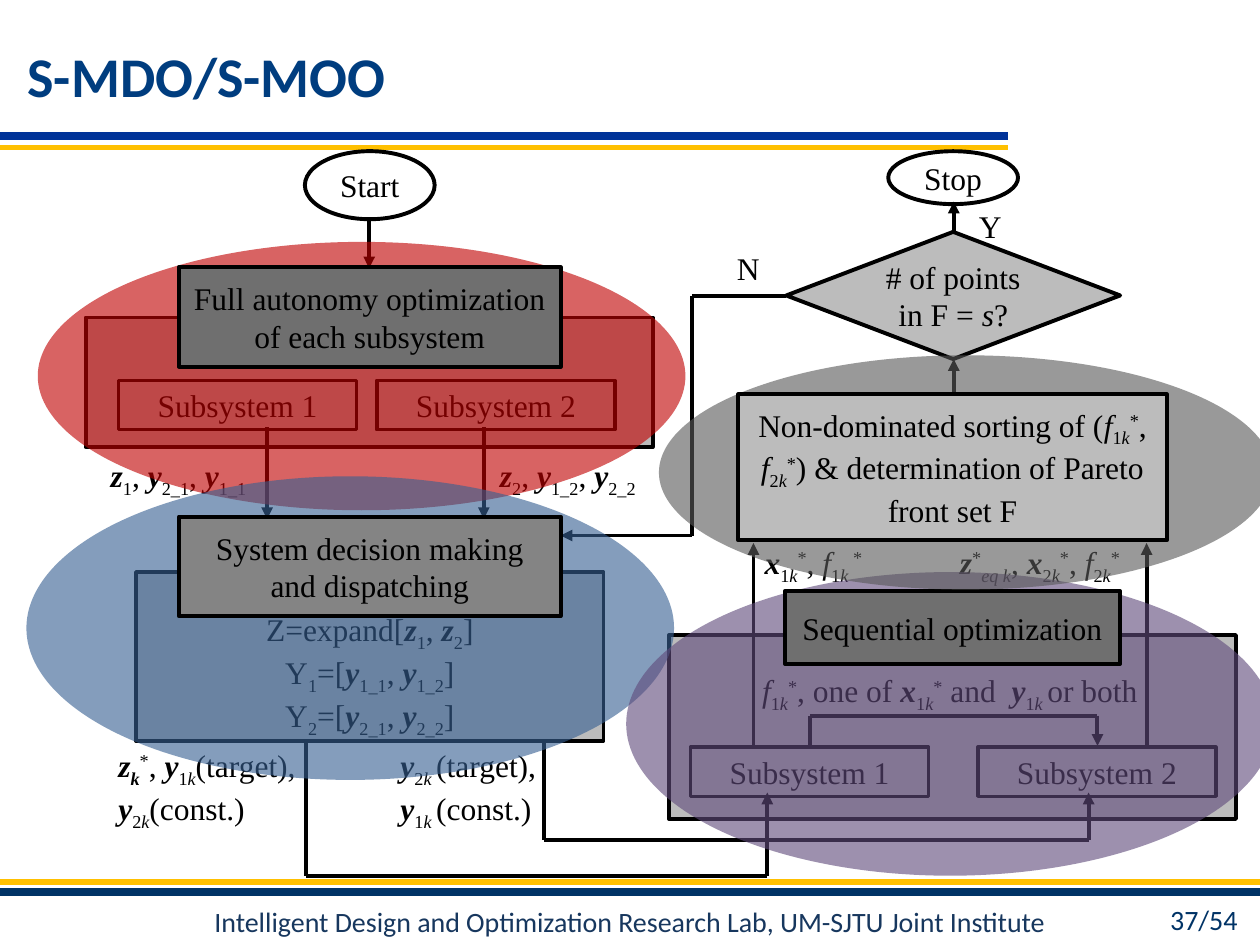
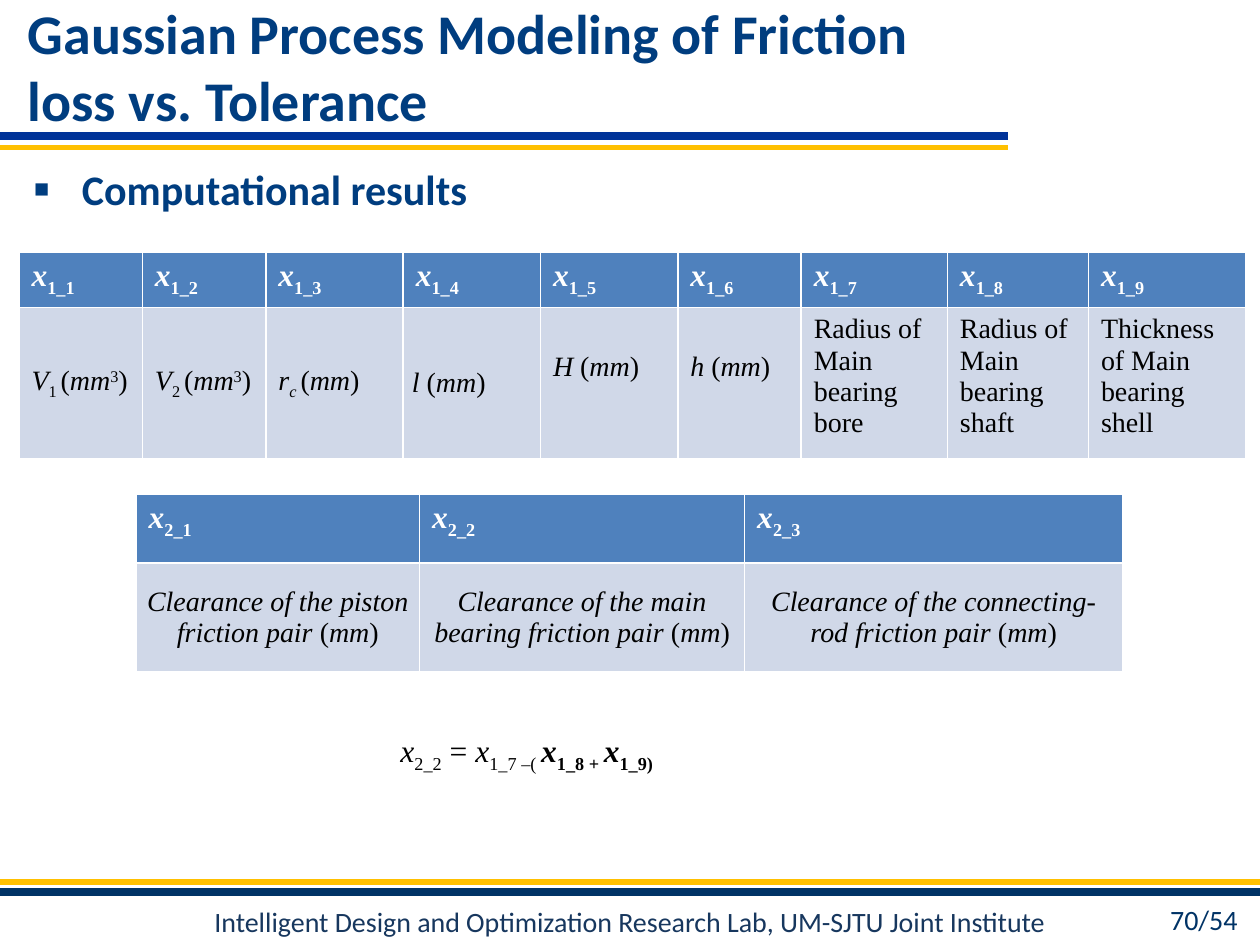
from lxml import etree
from pptx import Presentation
from pptx.dml.color import RGBColor
from pptx.enum.shapes import MSO_CONNECTOR, MSO_SHAPE
from pptx.enum.text import MSO_ANCHOR, MSO_AUTO_SIZE, PP_ALIGN
from pptx.oxml.ns import qn
from pptx.util import Inches, Pt

LINE = MSO_CONNECTOR.STRAIGHT
RECT, OVAL, DIAMOND = MSO_SHAPE.RECTANGLE, MSO_SHAPE.OVAL, MSO_SHAPE.DIAMOND
LEFT, CENTER, RIGHT = PP_ALIGN.LEFT, PP_ALIGN.CENTER, PP_ALIGN.RIGHT
TOP, MIDDLE = MSO_ANCHOR.TOP, MSO_ANCHOR.MIDDLE
FIXED = MSO_AUTO_SIZE.NONE

SANS, SERIF = "Calibri", "Times New Roman"
BLACK, WHITE, NAVY = "000000", "FFFFFF", "003D7F"
GOLD, BLUE, DEEP, INK = "FFC000", "003399", "003366", "17375E"
PALE, MID, DARK = "BCBCBC", "848484", "6F6F6F"
HEAD, BODY = "4F81BD", "D0D8E8"
LAB = "Intelligent Design and Optimization Research Lab, UM-SJTU Joint Institute"


def color(code):
    return RGBColor.from_string(code)


def inches(*sizes):
    return [Inches(round(size, 2)) for size in sizes]


# Text: {b:..} bold, {i:..} italic, {_:..} subscript, {^:..} superscript
def write(frame, text, size=18, face=SERIF, ink=BLACK, align=LEFT, bold=None):
    frame.word_wrap = True
    for n, line in enumerate(text.split("\n")):
        para = frame.add_paragraph() if n else frame.paragraphs[0]
        para.alignment = align
        font = para.font
        font.size, font.name, font.bold = Pt(size), face, bold
        font.color.rgb = color(ink)
        for k, part in enumerate(line.replace("}", "{").split("{")):
            style, body = part.split(":", 1) if k % 2 else ("", part)
            if not body:
                continue
            run = para.add_run()
            run.text = body
            if "b" in style:
                run.font.bold = True
            if "i" in style:
                run.font.italic = True
            for mark, shift in (("_", "-25000"), ("^", "30000")):
                if mark in style:
                    run._r.get_or_add_rPr().set("baseline", shift)


def label(slide, x, y, w, h, text, anchor=TOP, **look):
    frame = slide.shapes.add_textbox(*inches(x, y, w, h)).text_frame
    frame.vertical_anchor = anchor
    write(frame, text, **look)


def block(slide, kind, x, y, w, h, text="", fill=None, width=2.25):
    shape = slide.shapes.add_shape(kind, *inches(x, y, w, h))
    shape.shadow.inherit = False
    if fill:
        shape.fill.solid()
        shape.fill.fore_color.rgb = color(fill)
    else:
        shape.fill.background()
    if width:
        shape.line.color.rgb = color(BLACK)
        shape.line.width = Pt(width)
    else:
        shape.line.fill.background()
    if text:
        shape.text_frame.vertical_anchor = MIDDLE
        write(shape.text_frame, text, align=CENTER)
    return shape


# A line through points, leg by leg, with an arrowhead on the last leg
def route(slide, x, y, *points, ink=BLACK, width=2.25, arrow=True):
    for (ax, ay), (bx, by) in zip(points, points[1:]):
        leg = slide.shapes.add_connector(
            LINE, *inches(x + ax, y + ay, x + bx, y + by))
        leg.line.color.rgb = color(ink)
        leg.line.width = Pt(width)
        etree.SubElement(leg._element.spPr, qn("a:effectLst"))
    if arrow:
        etree.SubElement(leg.line._get_or_add_ln(), qn("a:tailEnd"),
                         type="triangle")


# Shared bands, title, footer and page number
def base(deck, layout, title, top, page):
    slide = deck.slides.add_slide(deck.slide_layouts[layout])
    for y, end, ink, width in ((1.08, 8, BLUE, 4.5), (1.17, 8, GOLD, 3),
                               (7, 10, GOLD, 3), (7.08, 10, DEEP, 4.5)):
        route(slide, 0, y, (0, 0), (end, 0), ink=ink, width=width, arrow=False)
    label(slide, 0.51, 7.13, 8.98, 0.37, LAB,
          size=16, face=SANS, ink=INK, align=CENTER)
    label(slide, 8.97, 7.1, 0.95, 0.4, page, MIDDLE,
          size=16, face=SANS, ink=DEEP, align=RIGHT)
    place(slide.shapes.title, 0.12, top, 7.87, 0.7, MIDDLE)
    write(slide.shapes.title.text_frame, title, 32, SANS, NAVY, bold=True)
    return slide


def place(holder, x, y, w, h, anchor):
    holder.left, holder.top, holder.width, holder.height = inches(x, y, w, h)
    holder.text_frame.auto_size = FIXED
    holder.text_frame.vertical_anchor = anchor


# Flow chart regions
def panel(slide, x, y, h, first, step, drop):
    block(slide, RECT, x, y, 4.5, h, fill=PALE)
    for n in range(2):
        block(slide, RECT, x + first + n * step, y + drop, 1.89, 0.39,
              f"Subsystem {n + 1}", width=2)


def begin(slide, x, y):
    block(slide, OVAL, x + 1.74, y - 1.32, 1.03, 0.54, "Start")
    route(slide, x, y, (2.25, -0.78), (2.25, -0.39))
    panel(slide, x, y, 1.03, 0.26, 2.05, 0.5)
    label(slide, x + 0.1, y + 1.05, 1.56, 0.4,
          "{bi:z}{_:1}, {bi:y}{_:2_1}, {bi:y}{_:1_1}")
    label(slide, x + 3.19, y + 1.05, 1.54, 0.4,
          "{bi:z}{_:2}, {bi:y}{_:1_2}, {bi:y}{_:2_2}")
    for dx in (1.44, 3.16):
        route(slide, x, y, (dx, 0.87), (dx, 1.6))


def dispatch(slide, x, y):
    box = block(slide, RECT, x, y, 3.71, 1.34,
                "Z=expand[{bi:z}{_:1}, {bi:z}{_:2}]\n"
                "Y{_:1}=[{bi:y}{_:1_1}, {bi:y}{_:1_2}]\n"
                "Y{_:2}=[{bi:y}{_:2_1}, {bi:y}{_:2_2}]", PALE)
    box.text_frame.margin_top = Inches(0.34)
    label(slide, x - 0.24, y + 1.33, 1.72, 0.71,
          "{bi:z}{bi_:k}{^:*}, {bi:y}{_:1}{i_:k}(target),\n"
          "{bi:y}{_:2}{i_:k}(const.)")
    label(slide, x + 2, y + 1.33, 1.56, 0.71,
          "{bi:y}{_:2}{i_:k }(target),\n{bi:y}{_:1}{i_:k }(const.)")


def sequence(slide, x, y):
    panel(slide, x, y, 1.46, 0.17, 2.28, 0.89)
    label(slide, x + 0.64, y + 0.24, 3.31, 0.4,
          "{i:f}{_:1}{i_:k}{^:*}, one of {bi:x}{_:1}{i_:k}{^:*}"
          " and  {bi:y}{_:1}{i_:k }or both")
    route(slide, x, y, (1.12, 0.89), (1.12, 0.64), (3.4, 0.64), (3.4, 0.88))
    for dx in (0.67, 3.79):
        route(slide, x, y, (dx, 0.87), (dx, -0.73))
    label(slide, x + 0.66, y - 0.78, 1.3, 0.4,
          "{bi:x}{_:1}{i_:k}{^:*}, {i:f}{_:1}{i_:k }{^:*}")
    label(slide, x + 2.21, y - 0.78, 1.74, 0.4,
          "{bi:z}{^:*}{i_:eq k}, {bi:x}{_:2}{i_:k}{^:*}, {i:f}{_:2}{i_:k}{^:*}")


def decide(slide, x, y):
    route(slide, x, y, (1.33, 0), (1.33, -0.24))
    route(slide, x, y, (1.33, 1.28), (1.33, 1.01))
    route(slide, x, y, (0, 0.51), (-0.75, 0.51), (-0.75, 2.41), (-1.79, 2.41))
    block(slide, OVAL, x + 0.81, y - 0.64, 1.03, 0.42, "Stop")
    block(slide, DIAMOND, x, y, 2.65, 1.01, "# of points in F = {i:s}?", PALE)
    label(slide, x + 1.43, y - 0.25, 0.56, 0.4, "Y")
    label(slide, x - 0.49, y + 0.09, 0.56, 0.4, "N")


# Tinted halo with its heading box, set relative to the halo
def stage(slide, x, y, w, h, tint, head, fill, text):
    halo = block(slide, OVAL, x, y, w, h, fill=tint, width=0)
    shade = halo._element.spPr.find(qn("a:solidFill"))[0]
    etree.SubElement(shade, qn("a:alpha"), val="61000")
    dx, dy, bw, bh = head
    block(slide, RECT, x + dx, y + dy, bw, bh, text, fill)


def flow(deck):
    slide = base(deck, 5, "S-MDO/S-MOO", 0.25, "37/54")
    begin(slide, 0.68, 2.52)
    dispatch(slide, 1.08, 4.54)
    sequence(slide, 5.31, 5.04)
    decide(slide, 6.24, 1.84)
    # Targets sent on to each subsystem
    for x, low, end in ((2.43, 6.95, 6.09), (4.32, 6.67, 8.64)):
        route(slide, 0, 0, (x, 5.88), (x, low), (end, low), (end, 6.29))
    stage(slide, 0.3, 1.92, 5.14, 2.13, "C00000", (1.12, 0.2, 3.03, 0.79),
          DARK, "Full autonomy optimization of each subsystem")
    stage(slide, 0.21, 3.78, 5.14, 2.41, "376092", (1.21, 0.32, 3.03, 0.79),
          MID, "System decision making and dispatching")
    stage(slide, 4.97, 4.54, 5.14, 2.41, "604A7B", (1.26, 0.15, 2.66, 0.58),
          DARK, "Sequential optimization")
    stage(slide, 5.23, 2.82, 4.87, 1.86, "595959", (0.63, 0.31, 3.4, 1.16),
          PALE, "Non-dominated sorting of ({i:f}{_:1}{i_:k}{^:*}, "
          "{i:f}{_:2}{i_:k}{^:*}) & determination of Pareto front set F")


# Table of variables: header row and one row of meanings
def grid(slide, x, y, cols, rows, group, notes, align=LEFT):
    table = slide.shapes.add_table(
        2, len(cols), *inches(x, y, sum(cols), sum(rows))).table
    for row, height in zip(table.rows, rows):
        row.height = Inches(height)
    for n, (width, note) in enumerate(zip(cols, notes)):
        table.columns[n].width = Inches(width)
        head, cell = table.cell(0, n), table.cell(1, n)
        for part, fill in ((head, HEAD), (cell, BODY)):
            part.fill.solid()
            part.fill.fore_color.rgb = color(fill)
        write(head.text_frame, f"{{i:x}}{{_:{group}_{n + 1}}}",
              ink=WHITE, bold=True)
        write(cell.text_frame, note, 16, align=align, bold=False)
        cell.vertical_anchor = MIDDLE if "{" in note else TOP
    return table


def tight(cell):
    cell.margin_left = cell.margin_right = Inches(0.07)
    cell.margin_top = cell.margin_bottom = 0


def results(deck):
    slide = base(deck, 1, "Gaussian Process Modeling of Friction loss vs. "
                 "Tolerance", 0.17, "70/54")
    # Bulleted heading
    body = slide.placeholders[1]
    place(body, 0.17, 1.25, 4.49, 0.55, TOP)
    write(body.text_frame, "Computational results", 24, SANS, NAVY, bold=True)
    props = body.text_frame.paragraphs[0]._p.get_or_add_pPr()
    props.set("marL", str(Inches(0.38)))
    props.set("indent", str(Inches(-0.38)))
    for n, (tag, key, value) in enumerate((("a:buSzPct", "val", "60000"),
                                           ("a:buFont", "typeface", "Arial"),
                                           ("a:buChar", "char", "■"))):
        item = etree.Element(qn(tag))
        item.set(key, value)
        props.insert(n, item)
    # Variables of both subsystems
    unit = "({i:mm})"
    cube = "({i:mm}{^:3})"
    parts = ("Radius of Main bearing bore", "Radius of Main bearing shaft",
             "Thickness of Main bearing shell")
    sizes = grid(slide, 0.15, 2,
                 (0.98, 0.98, 1.09, 1.09, 1.09, 0.98, 1.16, 1.12, 1.25),
                 (0.41, 1.2), 1,
                 ("{i:V}{_:1 }" + cube, "{i:V}{_:2 }" + cube,
                  "{i:r}{i_:c }" + unit, "{i:l }" + unit,
                  "{i:H }" + unit, "{i:h }" + unit) + parts)
    tight(sizes.cell(1, 3))
    for n in (4, 5):
        sizes.cell(1, n).margin_bottom = Inches(0.3)
    pairs = ("piston", "main bearing", "connecting-rod")
    gaps = grid(slide, 1.08, 3.92, (2.25, 2.58, 3), (0.55, 0.86), 2,
                [f"{{i:Clearance of the {pair} friction pair }}{unit}"
                 for pair in pairs], CENTER)
    tight(gaps.cell(1, 0))
    # Relation between the variables
    label(slide, 3.08, 5.75, 2.39, 0.4,
          "{i:x}{_:2_2} = {i:x}{_:1_7 –( }{bi:x}{b_:1_8 + }{bi:x}{b_:1_9)}")


def main():
    deck = Presentation()
    deck.slide_width, deck.slide_height = inches(10, 7.5)
    flow(deck)
    results(deck)
    deck.save("out.pptx")


if __name__ == "__main__":
    main()
